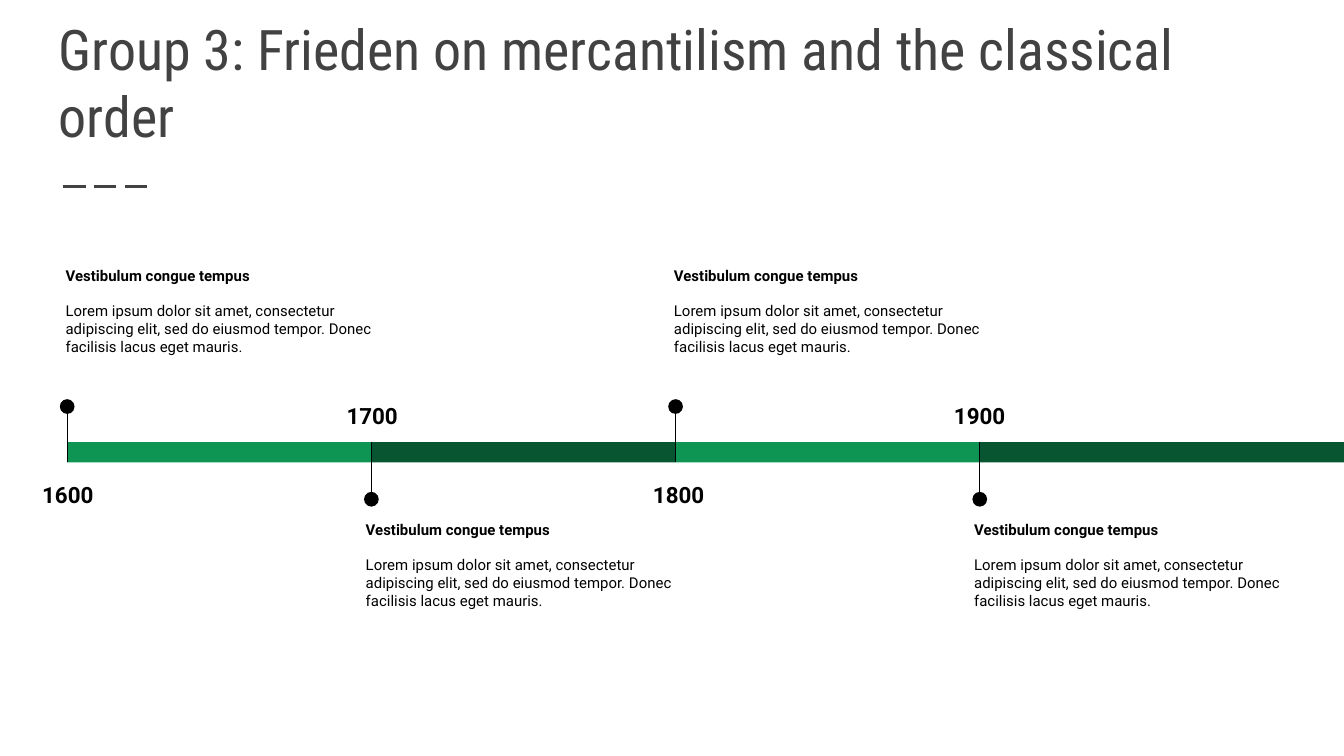
from lxml import etree
from pptx import Presentation
from pptx.dml.color import RGBColor
from pptx.enum.dml import MSO_LINE
from pptx.enum.shapes import MSO_CONNECTOR, MSO_SHAPE
from pptx.enum.text import MSO_ANCHOR, PP_ALIGN
from pptx.oxml.ns import qn
from pptx.util import Inches, Pt

STRAIGHT = MSO_CONNECTOR.STRAIGHT
RECTANGLE, OVAL = MSO_SHAPE.RECTANGLE, MSO_SHAPE.OVAL
LONG_DASH = MSO_LINE.LONG_DASH
TOP, BOTTOM = MSO_ANCHOR.TOP, MSO_ANCHOR.BOTTOM
LEFT, CENTER = PP_ALIGN.LEFT, PP_ALIGN.CENTER

BLACK = RGBColor(0x00, 0x00, 0x00)
GRAY = RGBColor(0x42, 0x42, 0x42)
GREEN = RGBColor(0x0E, 0x94, 0x53)
DARK_GREEN = RGBColor(0x08, 0x56, 0x31)

SLIDE_WIDTH = 10
SLIDE_HEIGHT = SLIDE_WIDTH * 9 / 16
FIRST_STOP, LAST_STOP = 0.5, 7.29
BAR_TOP, BAR_HEIGHT = 3.29, 0.15
BAR_BOTTOM = BAR_TOP + BAR_HEIGHT
DOT_SIZE = 0.11
YEAR_HEIGHT = 0.43
NOTE_WIDTH, NOTE_HEIGHT = 2.6, 1.09

TITLE = "Group 3: Frieden on mercantilism and the classical order"
HEADING = "Vestibulum congue tempus"
BODY = (
    "Lorem ipsum dolor sit amet, consectetur adipiscing elit, "
    "sed do eiusmod tempor. Donec facilisis lacus eget mauris."
)
YEARS = [("1600", 0, 1.01), ("1700", 2.34, 0.86), ("1800", 4.65, 0.8), ("1900", 6.86, 0.86)]


def add_text(shapes, left, top, width, height, lines, font, size, color,
             anchor=TOP, align=LEFT, spacing=None):
    """Add a text box; each line is (text, bold, points after)."""
    box = shapes.add_textbox(Inches(left), Inches(top), Inches(width), Inches(height))
    frame = box.text_frame
    frame.word_wrap = True
    frame.vertical_anchor = anchor
    frame.margin_left = frame.margin_right = Inches(0.1)
    frame.margin_top = frame.margin_bottom = Inches(0.1)
    for index, (text, bold, after) in enumerate(lines):
        para = frame.add_paragraph() if index else frame.paragraphs[0]
        para.text = text
        para.alignment = align
        para.line_spacing = spacing
        para.space_after = Pt(after)
        para.font.name = font
        para.font.size = Pt(size)
        para.font.bold = bold
        para.font.color.rgb = color


def add_line(shapes, x1, y1, x2, y2, color, weight):
    """Add a straight line without a shadow and return it."""
    line = shapes.add_connector(STRAIGHT, Inches(x1), Inches(y1), Inches(x2), Inches(y2))
    line.line.color.rgb = color
    line.line.width = Pt(weight)
    etree.SubElement(line._element.spPr, qn("a:effectLst"))
    return line


def add_filled(shapes, preset, left, top, width, height, color):
    """Add a flat, borderless shape."""
    shape = shapes.add_shape(preset, Inches(left), Inches(top), Inches(width), Inches(height))
    shape.shadow.inherit = False
    shape.fill.solid()
    shape.fill.fore_color.rgb = color
    shape.line.fill.background()


def add_stop(page, x, end, year, year_left, year_width, above):
    """Add one grouped stretch of the timeline with its marker, year and note."""
    shapes = page.shapes.add_group_shape().shapes
    if above:
        color, stem_start, stem_end = GREEN, 3.03, BAR_BOTTOM
        dot_top, year_top, note_left, note_top = 2.97, 3.45, x - 0.11, 1.88
    else:
        color, stem_start, stem_end = DARK_GREEN, 3.71, BAR_TOP
        dot_top, year_top, note_left, note_top = 3.66, 2.86, x - 0.14, 3.77
    add_filled(shapes, RECTANGLE, x, BAR_TOP, end - x, BAR_HEIGHT, color)
    add_line(shapes, x, stem_start, x, stem_end, BLACK, 0.75)
    add_filled(shapes, OVAL, x - DOT_SIZE / 2, dot_top, DOT_SIZE, DOT_SIZE, BLACK)
    add_text(shapes, year_left, year_top, year_width, YEAR_HEIGHT,
             [(year, True, 16)], "Roboto", 12, BLACK, align=CENTER, spacing=1.15)
    add_text(shapes, note_left, note_top, NOTE_WIDTH, NOTE_HEIGHT,
             [(HEADING, True, 9.4), (BODY, False, 16)], "Roboto", 8, BLACK)


def main():
    """Build the timeline slide and save it."""
    deck = Presentation()
    deck.slide_width, deck.slide_height = Inches(SLIDE_WIDTH), Inches(SLIDE_HEIGHT)
    page = deck.slides.add_slide(deck.slide_layouts[6])

    rule = add_line(page.shapes, 0.47, 1.39, 1.14, 1.39, GRAY, 1.5)
    rule.line.dash_style = LONG_DASH
    add_text(page.shapes, 0.34, 0.41, 9.32, 0.8, [(TITLE, False, 0)],
             "Roboto Condensed", 30, GRAY, anchor=BOTTOM)

    pitch = (LAST_STOP - FIRST_STOP) / (len(YEARS) - 1)
    stops = [FIRST_STOP + pitch * index for index in range(len(YEARS))]
    ends = stops[1:] + [SLIDE_WIDTH]
    for index, (year, year_left, year_width) in enumerate(YEARS):
        add_stop(page, stops[index], ends[index], year, year_left, year_width, index % 2 == 0)

    deck.save("out.pptx")


if __name__ == "__main__":
    main()
